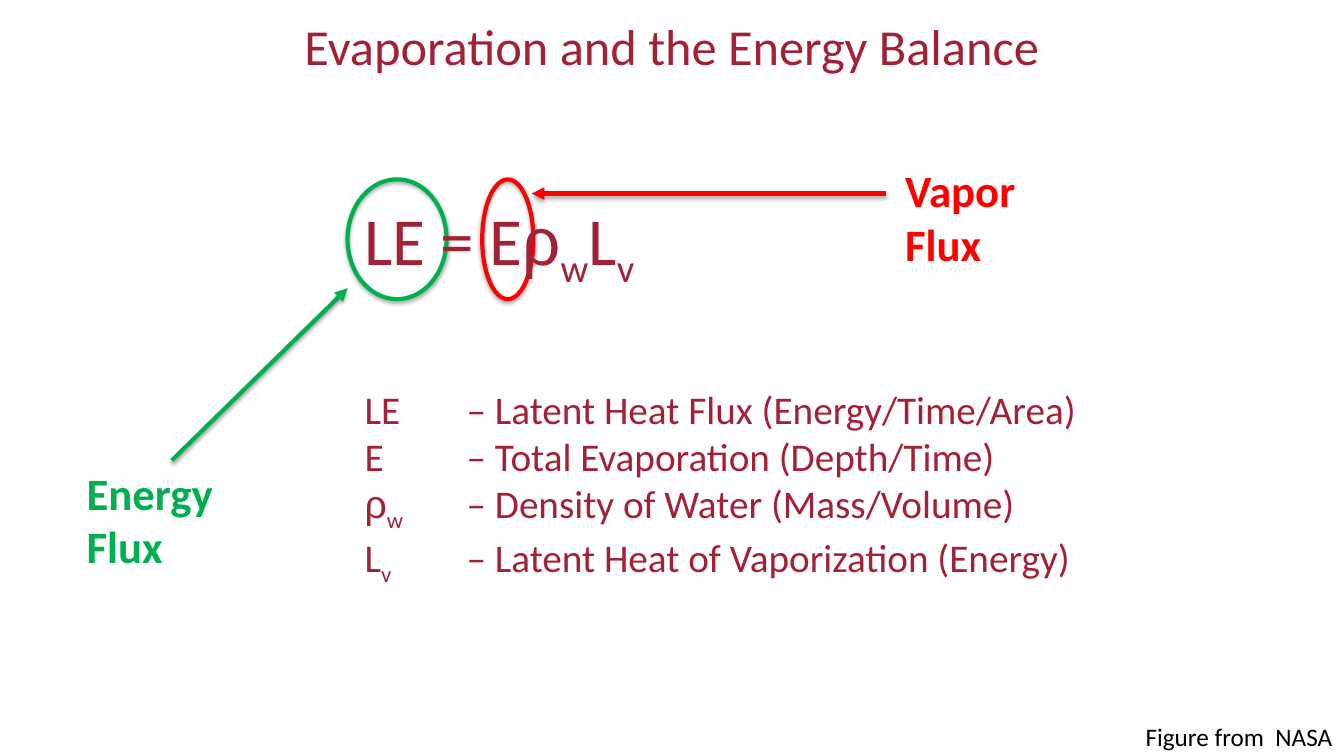
from lxml.etree import SubElement
from pptx import Presentation
from pptx.dml.color import RGBColor
from pptx.enum.shapes import MSO_CONNECTOR, MSO_SHAPE
from pptx.enum.text import MSO_ANCHOR, PP_ALIGN
from pptx.oxml.ns import qn
from pptx.util import Inches, Pt

WIDE, HIGH = Inches(13.33), Inches(7.5)
MAROON, RED, GREEN, BLACK = "A32136", "FF0000", "00B050", "000000"
SUB = {"sub": True}
GREEK = {"name": "Arial"}
TERMS = [
    [("LE\t– Latent Heat Flux (Energy/Time/Area)", {})],
    [("E\t– Total Evaporation (Depth/Time)", {})],
    [("ρ", GREEK), ("w", SUB), ("\t– Density of Water (Mass/Volume)", {})],
    [("L", {}), ("v", SUB), ("\t– Latent Heat of Vaporization (Energy)", {})],
]


def color(code):
    return RGBColor.from_string(code)


def place(box):
    x, y, w, h = box
    return [int(n) for n in (x * WIDE, y * HIGH, w * WIDE, h * HIGH)]


def frame(slide, box, wrap=True, anchor=MSO_ANCHOR.TOP):
    text = slide.shapes.add_textbox(*place(box)).text_frame
    for key, value in {"word_wrap": wrap, "vertical_anchor": anchor}.items():
        setattr(text, key, value)
    return text


def write(para, parts, size, code, bold=False):
    for words, extra in parts:
        run = para.add_run()
        run.text = words
        look = {"name": "Calibri", "size": Pt(size), "bold": bold} | extra
        if look.pop("sub", False):
            run._r.get_or_add_rPr().set("baseline", "-25000")
        for key, value in look.items():
            setattr(run.font, key, value)
        run.font.color.rgb = color(code)


def outline(shape, code, alpha):
    shape.line.width = Pt(3)
    shape.line.color.rgb = color(code)
    for old in shape._element.spPr.findall(qn("a:effectLst")):
        shape._element.spPr.remove(old)
    effect = SubElement(shape._element.spPr, qn("a:effectLst"))
    shade = SubElement(effect, qn("a:outerShdw"), blurRad=str(Pt(3.1)),
                       dist=str(Pt(1.7)), dir="5400000", rotWithShape="0")
    tone = SubElement(shade, qn("a:srgbClr"), val=BLACK)
    SubElement(tone, qn("a:alpha"), val=str(alpha * 1000))


def title(slide, box):
    para = frame(slide, box, anchor=MSO_ANCHOR.MIDDLE).paragraphs[0]
    para.alignment = PP_ALIGN.CENTER
    write(para, [("Evaporation and the Energy Balance", {})], 36, MAROON)


def credit(slide, box):
    para = frame(slide, box, wrap=False).paragraphs[0]
    write(para, [("Figure from  NASA", {})], 18, BLACK)


def ring(slide, box, code):
    oval = slide.shapes.add_shape(MSO_SHAPE.OVAL, *place(box))
    oval.fill.background()
    outline(oval, code, 35)


def balance(slide, box):
    x, y, w, h = box
    top, tall = y - 0.03 * h, 0.254 * h
    ring(slide, (x + 0.157 * w, top, 0.063 * w, tall), RED)
    ring(slide, (x - 0.009 * w, top, 0.122 * w, tall), GREEN)
    text = frame(slide, box)
    parts = [("LE = E", {}), ("ρ", GREEK), ("w", SUB), ("L", {}), ("v", SUB)]
    write(text.paragraphs[0], parts, 48, MAROON)
    for row, term in enumerate(TERMS):
        para = text.add_paragraph()
        tabs = SubElement(para._p.get_or_add_pPr(), qn("a:tabLst"))
        SubElement(tabs, qn("a:tab"), pos=str(Inches(1.01)), algn="l")
        para.space_before = Pt(0 if row else 68)
        write(para, term, 28, MAROON)


def callout(slide, box, words, code, start, end):
    x, y, w, h = box
    ends = [int(n) for u, v in (start, end)
            for n in ((x + u * w) * WIDE, (y + v * h) * HIGH)]
    arrow = slide.shapes.add_connector(MSO_CONNECTOR.STRAIGHT, *ends)
    outline(arrow, code, 38)
    SubElement(arrow.line._get_or_add_ln(), qn("a:tailEnd"), type="triangle")
    write(frame(slide, box).paragraphs[0], [(words, {})], 32, code, True)


def main():
    deck = Presentation()
    for key, value in {"slide_width": WIDE, "slide_height": HIGH}.items():
        setattr(deck, key, value)
    slide = deck.slides.add_slide(deck.slide_layouts[6])
    title(slide, (0, 0, 1, 0.12))
    credit(slide, (0.845, 0.947, 0.155, 0.053))
    balance(slide, (0.264, 0.256, 0.604, 0.624))
    callout(slide, (0.057, 0.609, 0.109, 0.157), "Energy Flux", GREEN,
            (0.65, 0), (1.85, -1.45))
    callout(slide, (0.666, 0.209, 0.109, 0.157), "Vapor Flux", RED,
            (-0.06, 0.3), (-2.48, 0.3))
    deck.save("out.pptx")


if __name__ == "__main__":
    main()
